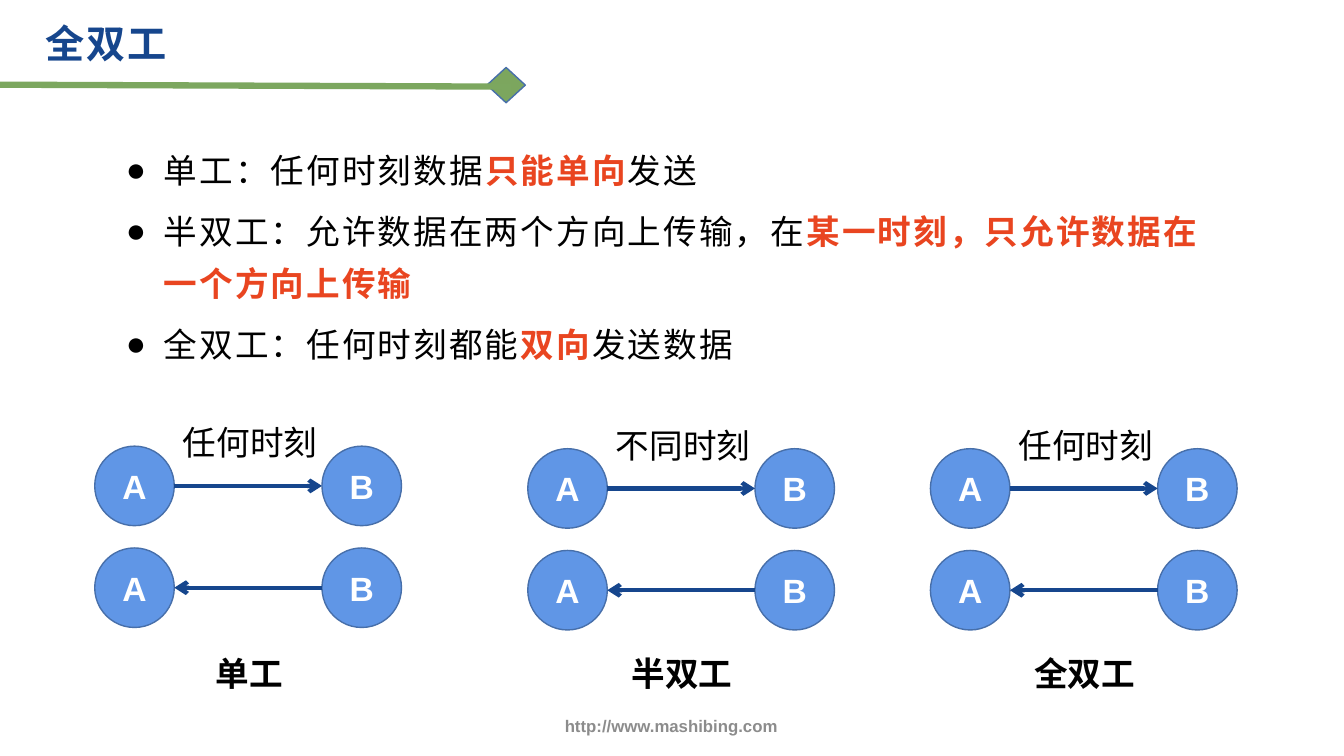
from dataclasses import dataclass

from lxml.etree import SubElement
from pptx import Presentation
from pptx.dml.color import RGBColor as Rgb
from pptx.enum.shapes import MSO_CONNECTOR as Conn, MSO_SHAPE as Geom
from pptx.enum.text import MSO_ANCHOR as Anchor, MSO_AUTO_SIZE as Fit, PP_ALIGN as Align
from pptx.oxml.ns import qn
from pptx.util import Pt

HUES = {
    "navy": "16468D", "blue": "6096E6", "edge": "476FAA", "rule": "7CA75F",
    "gem": "7CA65E", "red": "E94520", "black": "000000", "white": "FFFFFF",
    "grey": "8C8C8C",
}
SIDE = 56.8    # node diameter
REACH = 162.3  # from node A to node B
DROP = 72.7    # from the upper row to the lower row


@dataclass
class Mode:
    name: str
    when: str
    left: float
    top: float


MODES = [
    Mode("单工", "任何时刻", 67.7, 318.7),
    Mode("半双工", "不同时刻", 377, 320.5),
    Mode("全双工", "任何时刻", 664.6, 320.5),
]

# Each point is a list of (text, stressed) pieces.
POINTS = [
    [("单工：任何时刻数据", False), ("只能单向", True), ("发送", False)],
    [("半双工：允许数据在两个方向上传输，在", False),
     ("某一时刻，只允许数据在一个方向上传输", True)],
    [("全双工：任何时刻都能", False), ("双向", True), ("发送数据", False)],
]


def hue(name: str) -> Rgb:
    return Rgb.from_string(HUES[name])


def style(para, size: float, tint: str, bold: bool = False, align=Align.LEFT) -> None:
    para.alignment = align
    font = para.font
    font.name, font.size, font.bold = "Arial", Pt(size), bold
    font.color.rgb = hue(tint)


def place(shape, left: float, top: float, width: float, height: float) -> None:
    shape.left, shape.top = Pt(left), Pt(top)
    shape.width, shape.height = Pt(width), Pt(height)


def setup(holder) -> None:
    frame = holder.text_frame
    frame.auto_size, frame.vertical_anchor = Fit.NONE, Anchor.TOP
    frame.word_wrap = True


def space(para) -> None:
    """Set the line, paragraph and letter spacing of placeholder text."""
    para.line_spacing = 1.3
    para.space_before, para.space_after = Pt(0), Pt(6)
    for run in para.runs:
        run._r.get_or_add_rPr().set("spc", "150")


def add_title(slide, text: str) -> None:
    title = slide.shapes.title
    place(title, 25.2, 0, 340.6, 54)
    setup(title)
    para = title.text_frame.paragraphs[0]
    para.add_run().text = text
    style(para, 28, "navy", True)
    space(para)


def add_list(slide) -> None:
    body = slide.placeholders[1]
    place(body, 82.8, 95, 794.2, 175.7)
    setup(body)
    frame = body.text_frame
    for num, parts in enumerate(POINTS):
        para = frame.paragraphs[0] if num == 0 else frame.add_paragraph()
        props = para._p.get_or_add_pPr()
        props.set("marL", str(Pt(27)))
        props.set("indent", str(-Pt(27)))
        SubElement(props, qn("a:buChar")).set("char", "●")
        style(para, 24, "black")
        for text, hot in parts:
            run = para.add_run()
            run.text = text
            if hot:
                run.font.bold = True
                run.font.color.rgb = hue("red")
        space(para)


def add_shape(slide, geom, left: float, top: float, width: float, height: float, fill: str):
    shape = slide.shapes.add_shape(geom, Pt(left), Pt(top), Pt(width), Pt(height))
    shape.shadow.inherit = False
    shape.fill.solid()
    shape.fill.fore_color.rgb = hue(fill)
    shape.line.color.rgb = hue("edge")
    shape.line.width = Pt(1)
    return shape


def add_line(slide, start: tuple[float, float], end: tuple[float, float],
             tint: str, width: float, arrow: bool = False) -> None:
    line = slide.shapes.add_connector(Conn.STRAIGHT, *map(Pt, start + end))
    line.line.color.rgb = hue(tint)
    line.line.width = Pt(width)
    if arrow:
        SubElement(line.line._get_or_add_ln(), qn("a:tailEnd")).set("type", "arrow")
    SubElement(line._element.spPr, qn("a:effectLst"))


def add_label(slide, text: str, mid: float, top: float, bold: bool) -> None:
    """Centre a one-line label on mid, as wide as its full-width letters need."""
    width = 24 * len(text) + 14.4
    box = slide.shapes.add_textbox(Pt(mid - width / 2), Pt(top), Pt(width), Pt(36))
    frame = box.text_frame
    frame.word_wrap, frame.auto_size = False, Fit.SHAPE_TO_FIT_TEXT
    frame.text = text
    style(frame.paragraphs[0], 24, "black", bold)


def add_node(slide, text: str, left: float, top: float) -> None:
    node = add_shape(slide, Geom.OVAL, left, top, SIDE, SIDE, "blue")
    frame = node.text_frame
    frame.vertical_anchor = Anchor.MIDDLE
    frame.text = text
    style(frame.paragraphs[0], 24, "white", True, Align.CENTER)


def add_mode(slide, mode: Mode) -> None:
    for row in range(2):
        top = mode.top + row * DROP
        for col, text in enumerate("AB"):
            add_node(slide, text, mode.left + col * REACH, top)
        ends = [(mode.left + x, top + SIDE / 2) for x in (SIDE, REACH)]
        if row:
            ends.reverse()
        add_line(slide, *ends, "navy", 3, True)
    mid = mode.left + (REACH + SIDE) / 2
    add_label(slide, mode.when, mid + 1.5, mode.top - 20.7, False)
    add_label(slide, mode.name, mid + 0.8, 463, True)


def add_frame(slide) -> None:
    """Draw the rule below the title and the address at the foot."""
    add_shape(slide, Geom.DIAMOND, 347.8, 48.2, 27.4, 25.2, "gem")
    add_line(slide, (0, 60.5), (365, 61.9), "rule", 4.5)
    foot = slide.shapes.add_textbox(Pt(309.6), Pt(496.8), Pt(339.8), Pt(43.2))
    frame = foot.text_frame
    frame.word_wrap, frame.vertical_anchor = True, Anchor.MIDDLE
    frame.text = "http://www.mashibing.com"
    style(frame.paragraphs[0], 12, "grey", True, Align.CENTER)


def main() -> None:
    deck = Presentation()
    deck.slide_width, deck.slide_height = Pt(960), Pt(540)
    slide = deck.slides.add_slide(deck.slide_layouts[1])
    add_frame(slide)
    add_title(slide, "全双工")
    add_list(slide)
    for mode in MODES:
        add_mode(slide, mode)
    deck.save("out.pptx")


if __name__ == "__main__":
    main()
